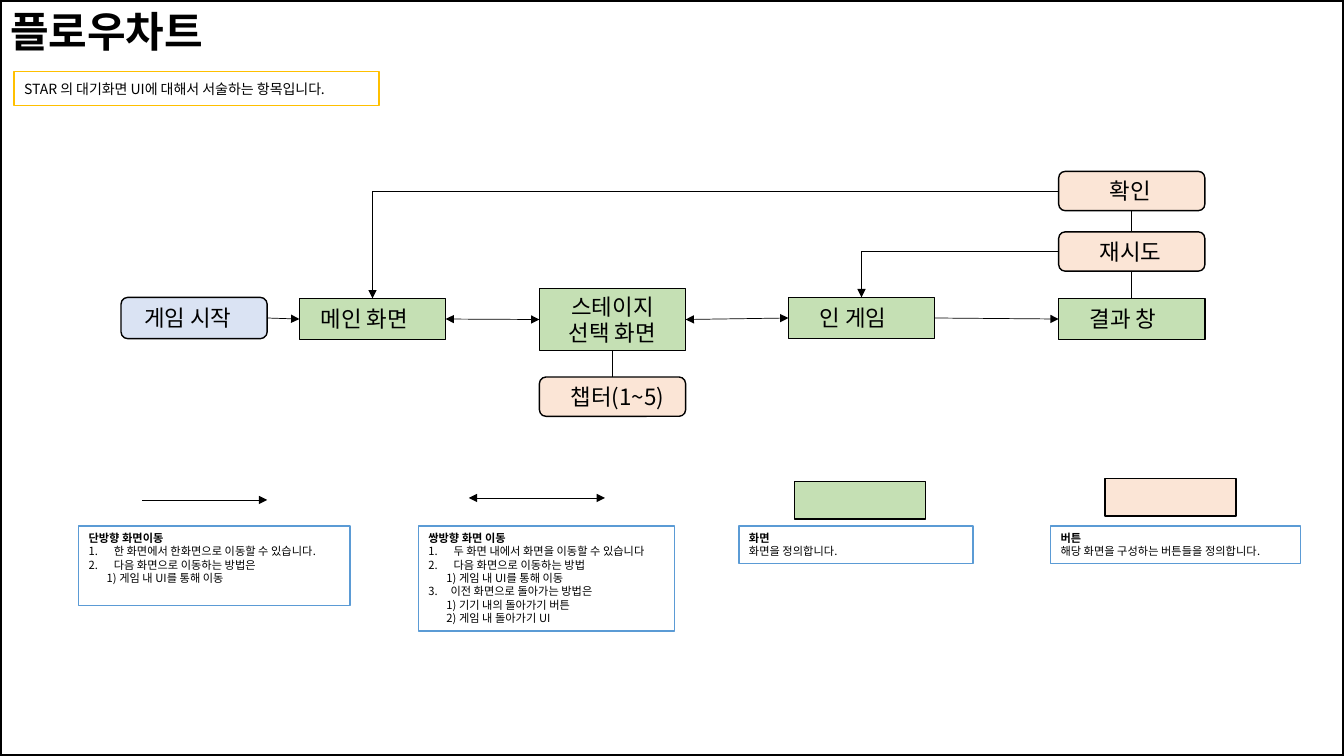
"""Build the flowchart slide: game screens, their buttons and a legend."""
from lxml import etree
from pptx import Presentation
from pptx.dml.color import RGBColor
from pptx.enum.shapes import MSO_CONNECTOR, MSO_SHAPE
from pptx.enum.text import MSO_ANCHOR, MSO_AUTO_SIZE, PP_ALIGN
from pptx.oxml.ns import qn
from pptx.util import Inches, Pt

FONT = "Noto Sans CJK KR"
BLACK = RGBColor(0x00, 0x00, 0x00)
WHITE = RGBColor(0xFF, 0xFF, 0xFF)
START_BLUE = RGBColor(0xDA, 0xE3, 0xF3)
SCREEN_GREEN = RGBColor(0xC5, 0xE0, 0xB4)
BUTTON_PEACH = RGBColor(0xFB, 0xE5, 0xD6)
CAPTION_GOLD = RGBColor(0xFF, 0xC0, 0x00)
NOTE_BLUE = RGBColor(0x5B, 0x9B, 0xD5)
RECTANGLE, ROUNDED = MSO_SHAPE.RECTANGLE, MSO_SHAPE.ROUNDED_RECTANGLE
STRAIGHT, ELBOW = MSO_CONNECTOR.STRAIGHT, MSO_CONNECTOR.ELBOW
LEFT, CENTER = PP_ALIGN.LEFT, PP_ALIGN.CENTER
TOP, MIDDLE = MSO_ANCHOR.TOP, MSO_ANCHOR.MIDDLE
SITE_TOP, SITE_LEFT, SITE_BOTTOM, SITE_RIGHT = range(4)

presentation = Presentation()
presentation.slide_width = Inches(13.33)
presentation.slide_height = Inches(7.5)
slide = presentation.slides.add_slide(presentation.slide_layouts[5])


def add_box(geometry, bounds, fill, line, line_width=1):
    shape = slide.shapes.add_shape(geometry, *[Inches(value) for value in bounds])
    shape.shadow.inherit = False
    if fill is None:
        shape.fill.background()
    else:
        shape.fill.solid()
        shape.fill.fore_color.rgb = fill
    shape.line.color.rgb = line
    shape.line.width = Pt(line_width)
    shape.text_frame.word_wrap = True
    return shape


def add_text(paragraph, text, size, bold=False, alignment=LEFT):
    paragraph.alignment = alignment
    run = paragraph.add_run()
    run.text = text
    run.font.size = Pt(size)
    run.font.bold = bold
    run.font.color.rgb = BLACK
    run.font.name = FONT
    east_asian = etree.SubElement(run.font._element, qn("a:ea"))
    east_asian.set("typeface", FONT)


add_box(RECTANGLE, (0, 0, 13.33, 7.5), None, BLACK, 2.25)

title = slide.shapes.title
title.left, title.top = Inches(0), Inches(0)
title.width, title.height = Inches(2.84), Inches(0.61)
title.text_frame.auto_size = MSO_AUTO_SIZE.NONE
title.text_frame.vertical_anchor = TOP
add_text(title.text_frame.paragraphs[0], "플로우차트", 30, bold=True)

caption = add_box(RECTANGLE, (0.14, 0.71, 3.62, 0.34), None, CAPTION_GOLD)
caption.text_frame.vertical_anchor = MIDDLE
caption.text_frame.margin_right = 0
add_text(caption.text_frame.paragraphs[0],
         "STAR 의 대기화면 UI에 대해서 서술하는 항목입니다.", 10)

NODE_WIDTH = 1.45
nodes = {}
for name, geometry, fill, left, top, height, inset, alignment in [
    ("게임 시작", ROUNDED, START_BLUE, 1.2, 2.95, 0.41, 0.21, LEFT),
    ("메인 화면", RECTANGLE, SCREEN_GREEN, 2.97, 2.96, 0.41, 0.21, LEFT),
    ("스테이지 선택 화면", RECTANGLE, SCREEN_GREEN, 5.35, 2.86, 0.62, 0.21, CENTER),
    ("인 게임", RECTANGLE, SCREEN_GREEN, 7.82, 2.95, 0.41, 0.31, LEFT),
    ("결과 창", RECTANGLE, SCREEN_GREEN, 10.5, 2.96, 0.41, 0.31, LEFT),
    ("재시도", ROUNDED, BUTTON_PEACH, 10.5, 2.3, 0.39, 0.39, LEFT),
    ("확인", ROUNDED, BUTTON_PEACH, 10.5, 1.7, 0.39, 0.49, LEFT),
    ("챕터(1~5)", ROUNDED, BUTTON_PEACH, 5.35, 3.74, 0.39, 0.29, LEFT),
]:
    node = add_box(geometry, (left, top, NODE_WIDTH, height), fill, BLACK)
    frame = node.text_frame
    frame.vertical_anchor = MIDDLE
    frame.margin_left = Inches(inset)
    frame.margin_right = Inches(inset if alignment == CENTER else 0)
    frame.margin_top = frame.margin_bottom = 0
    add_text(frame.paragraphs[0], name, 16, alignment=alignment)
    nodes[name] = node

ONE_WAY, TWO_WAY, PLAIN = ("tailEnd",), ("headEnd", "tailEnd"), ()
connectors = []
for kind, source, source_site, target, target_site, arrows in [
    (STRAIGHT, "게임 시작", SITE_RIGHT, "메인 화면", SITE_LEFT, ONE_WAY),
    (STRAIGHT, "메인 화면", SITE_RIGHT, "스테이지 선택 화면", SITE_LEFT, TWO_WAY),
    (STRAIGHT, "스테이지 선택 화면", SITE_RIGHT, "인 게임", SITE_LEFT, TWO_WAY),
    (STRAIGHT, "인 게임", SITE_RIGHT, "결과 창", SITE_LEFT, ONE_WAY),
    (ELBOW, "확인", SITE_LEFT, "메인 화면", SITE_TOP, ONE_WAY),
    (ELBOW, "재시도", SITE_LEFT, "인 게임", SITE_TOP, ONE_WAY),
    (STRAIGHT, "확인", SITE_BOTTOM, "재시도", SITE_TOP, PLAIN),
    (STRAIGHT, "재시도", SITE_BOTTOM, "결과 창", SITE_TOP, PLAIN),
    (STRAIGHT, "스테이지 선택 화면", SITE_BOTTOM, "챕터(1~5)", SITE_TOP, PLAIN),
]:
    connector = slide.shapes.add_connector(kind, 0, 0, 0, 0)
    connector.begin_connect(nodes[source], source_site)
    connector.end_connect(nodes[target], target_site)
    if kind == ELBOW:
        connector._element.spPr.find(qn("a:prstGeom")).set("prst", "bentConnector2")
    connectors.append((connector, arrows))

for start, end, height, arrows in [(1.41, 2.65, 4.96, ONE_WAY), (4.65, 6, 4.94, TWO_WAY)]:
    connector = slide.shapes.add_connector(
        STRAIGHT, Inches(start), Inches(height), Inches(end), Inches(height))
    connectors.append((connector, arrows))

for connector, arrows in connectors:
    connector.line.color.rgb = BLACK
    connector.line.width = Pt(0.5)
    for arrow in arrows:
        etree.SubElement(connector.line._ln, qn(f"a:{arrow}")).set("type", "triangle")
    etree.SubElement(connector._element.spPr, qn("a:effectLst"))

add_box(RECTANGLE, (7.88, 4.78, 1.3, 0.37), SCREEN_GREEN, BLACK)
add_box(RECTANGLE, (10.96, 4.75, 1.3, 0.37), BUTTON_PEACH, BLACK)

NUMBERED, TABBED, SUBITEM, BODY = "numbered", "tabbed", "subitem", "body"
INDENTS = {NUMBERED: (0.25, -0.25), TABBED: (0.22, -0.22), SUBITEM: (0.18, 0), BODY: (0, 0)}
for bounds, heading, lines in [
    ((0.78, 5.22, 2.69, 0.79), "단방향 화면이동", [
        (NUMBERED, "한 화면에서 한화면으로 이동할 수 있습니다."),
        (NUMBERED, "다음 화면으로 이동하는 방법은"),
        (SUBITEM, "1) 게임 내 UI를 통해 이동"),
    ]),
    ((4.15, 5.22, 2.54, 1.04), "쌍방향 화면 이동", [
        (NUMBERED, "두 화면 내에서 화면을 이동할 수 있습니다"),
        (NUMBERED, "다음 화면으로 이동하는 방법"),
        (SUBITEM, "1) 게임 내 UI를 통해 이동"),
        (TABBED, "3.\t이전 화면으로 돌아가는 방법은"),
        (SUBITEM, "1) 기기 내의 돌아가기 버튼"),
        (SUBITEM, "2) 게임 내 돌아가기 UI"),
    ]),
    ((7.33, 5.22, 2.32, 0.37), "화면", [(BODY, "화면을 정의합니다.")]),
    ((10.42, 5.22, 2.48, 0.37), "버튼", [(BODY, "해당 화면을 구성하는 버튼들을 정의합니다.")]),
]:
    frame = add_box(RECTANGLE, bounds, WHITE, NOTE_BLUE).text_frame
    frame.vertical_anchor = TOP
    frame.margin_right = 0
    add_text(frame.paragraphs[0], heading, 8, bold=True)
    for style, text in lines:
        paragraph = frame.add_paragraph()
        add_text(paragraph, text, 8)
        properties = paragraph._p.get_or_add_pPr()
        margin, indent = INDENTS[style]
        properties.set("marL", str(Inches(margin)))
        properties.set("indent", str(Inches(indent)))
        if style == NUMBERED:
            etree.SubElement(properties, qn("a:buAutoNum")).set("type", "arabicPeriod")

presentation.save("out.pptx")
